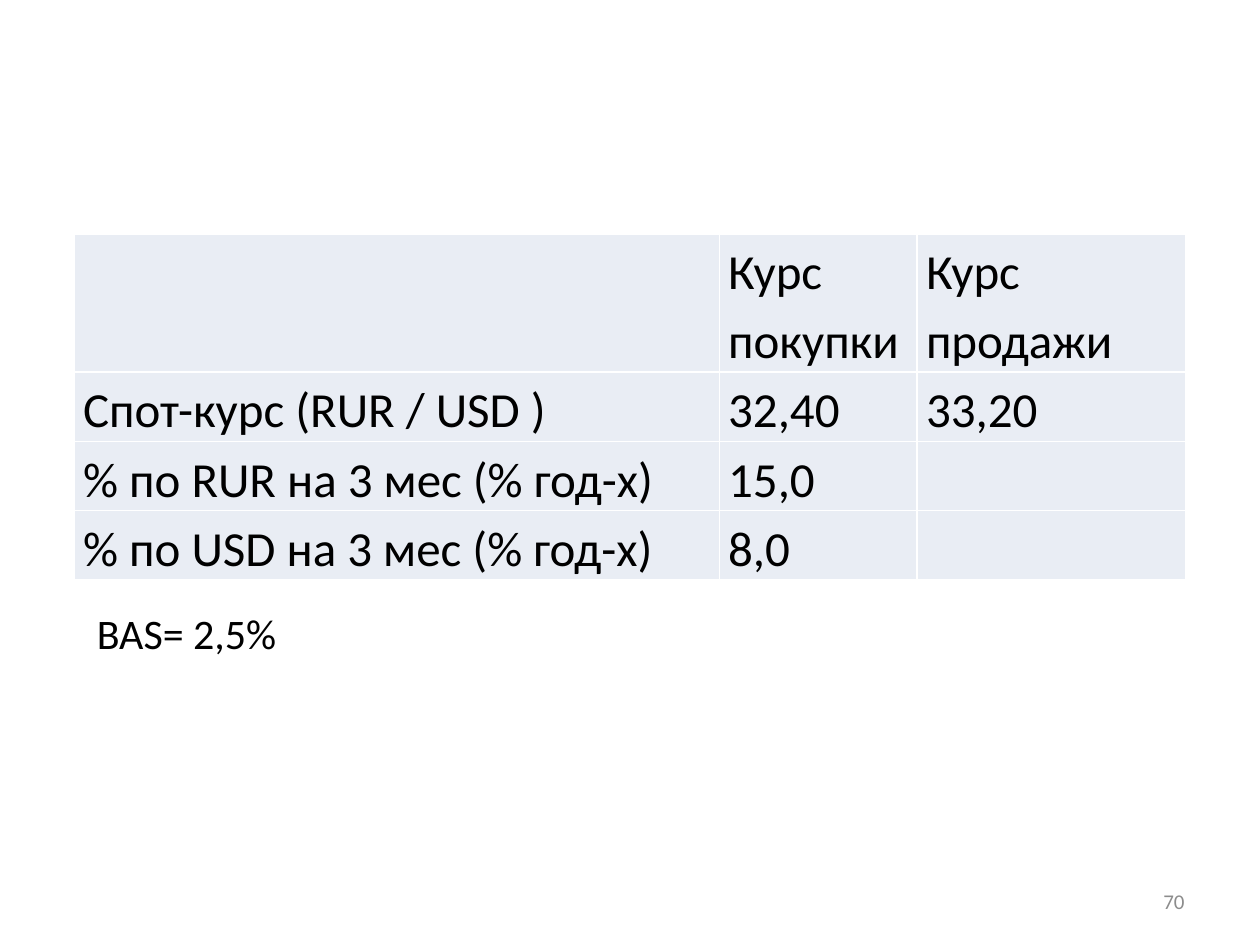
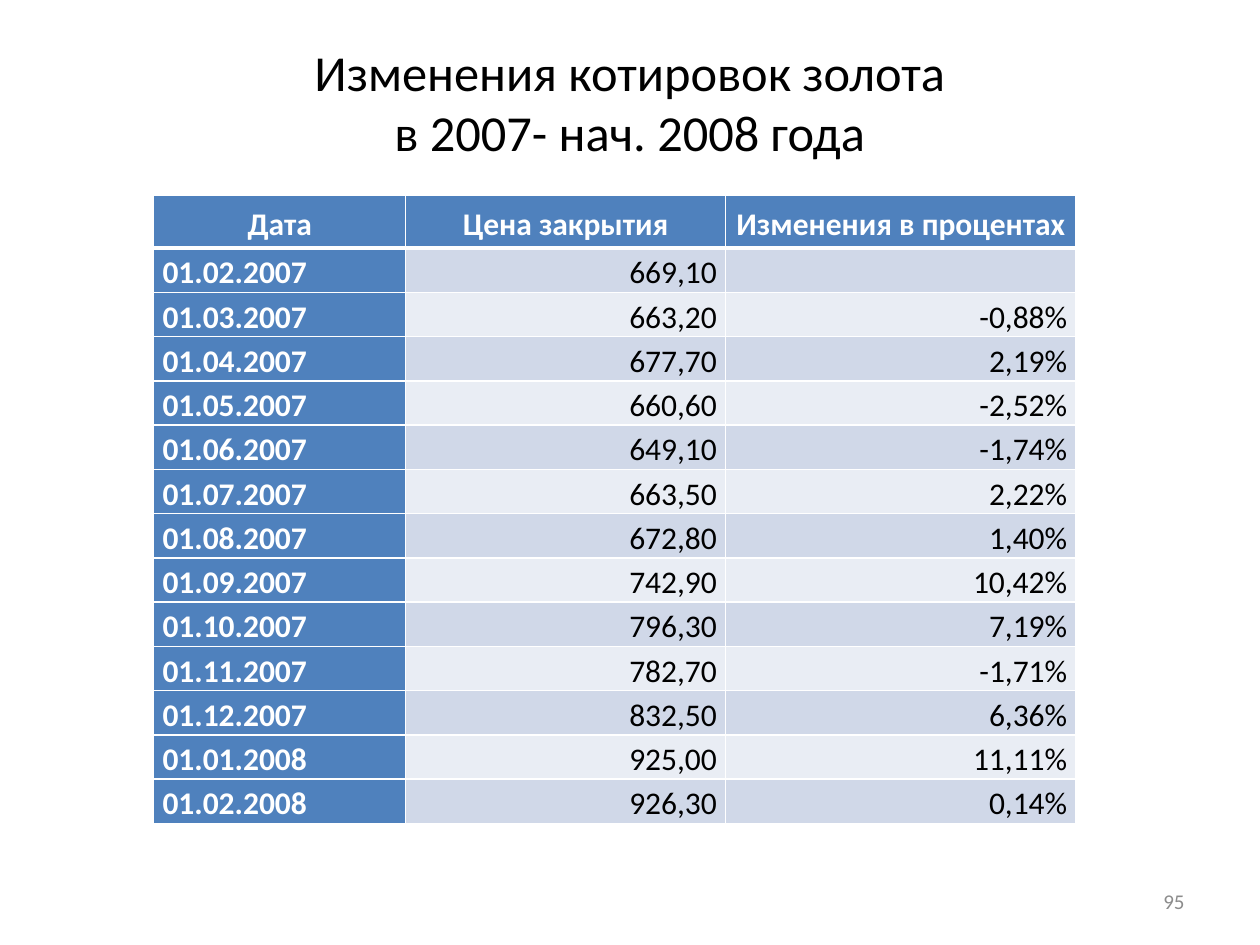
from lxml.etree import SubElement
from pptx import Presentation
from pptx.dml.color import RGBColor
from pptx.enum.text import MSO_ANCHOR, MSO_AUTO_SIZE, PP_ALIGN
from pptx.oxml.ns import qn
from pptx.util import Inches, Pt

# Content
RATES = [
    ("", "Курс покупки", "Курс продажи"),
    ("Спот-курс (RUR / USD )", "32,40", "33,20"),
    ("% по RUR на 3 мес (% год-х)", "15,0", ""),
    ("% по USD на 3 мес (% год-х)", "8,0", ""),
]
SPREAD = "BAS= 2,5%"
GOLD_TITLE = "Изменения котировок золота\vв 2007- нач. 2008 года"
GOLD = [
    ("Дата", "Цена закрытия", "Изменения в процентах"),
    ("01.02.2007", "669,10", ""),
    ("01.03.2007", "663,20", "-0,88%"),
    ("01.04.2007", "677,70", "2,19%"),
    ("01.05.2007", "660,60", "-2,52%"),
    ("01.06.2007", "649,10", "-1,74%"),
    ("01.07.2007", "663,50", "2,22%"),
    ("01.08.2007", "672,80", "1,40%"),
    ("01.09.2007", "742,90", "10,42%"),
    ("01.10.2007", "796,30", "7,19%"),
    ("01.11.2007", "782,70", "-1,71%"),
    ("01.12.2007", "832,50", "6,36%"),
    ("01.01.2008", "925,00", "11,11%"),
    ("01.02.2008", "926,30", "0,14%"),
]
PAGE_NUMBERS = {"rates": "70", "gold": "95"}

# Shared look
FONT = "Calibri"
COLORS = {"text": "000000", "white": "FFFFFF", "number": "8C8C8C",
          "accent": "4F81BD", "dark band": "D0D8E8", "light band": "E9EDF4"}
WIDTH, HEIGHT = 10, 7.5
MARGIN = 0.05 * WIDTH
LAYOUT_TITLE_ONLY, LAYOUT_BLANK = 5, 6


def write(frame, text, size=18, color="text", bold=False, align=PP_ALIGN.LEFT,
          anchor=MSO_ANCHOR.TOP, spacing=1.0):
    """Fill a text frame or a table cell with one formatted paragraph."""
    frame.vertical_anchor = anchor
    para = getattr(frame, "text_frame", frame).paragraphs[0]
    para.text = text
    para.alignment = align
    para.line_spacing = spacing
    for span in para.runs:
        span.font.name = FONT
        span.font.size = Pt(size)
        span.font.bold = bold
        span.font.color.rgb = RGBColor.from_string(COLORS[color])


def add_text(slide, text, left, top, width, height, wrap=True, **style):
    box = slide.shapes.add_textbox(*map(Inches, (left, top, width, height)))
    box.text_frame.word_wrap = wrap
    write(box.text_frame, text, **style)


def add_page_number(slide, text):
    width = 2.33
    add_text(slide, text, WIDTH - MARGIN - width, 6.95, width, 0.4, size=12,
             color="number", align=PP_ALIGN.RIGHT, anchor=MSO_ANCHOR.MIDDLE)


def set_borders(cell, **widths):
    """Draw white cell borders, 1 pt unless a side is given its own width."""
    properties = cell._tc.get_or_add_tcPr()
    for side in "LRTB":
        line = SubElement(properties, qn(f"a:ln{side}"),
                          w=str(Pt(widths.get(side, 1))))
        fill = SubElement(line, qn("a:solidFill"))
        SubElement(fill, qn("a:srgbClr"), val=COLORS["white"])


def add_table(slide, rows, left, top, columns, first_height, row_height, cell_format):
    """Add a table; cell_format(row, column) gives fill, borders and text style."""
    heights = [first_height] + [row_height] * (len(rows) - 1)
    frame = slide.shapes.add_table(len(rows), len(columns), Inches(left), Inches(top),
                                   Inches(sum(columns)), Inches(sum(heights)))
    table = frame.table
    table.first_row = table.horz_banding = False
    for column, width in zip(table.columns, columns):
        column.width = Inches(width)
    for r, (values, height) in enumerate(zip(rows, heights)):
        table.rows[r].height = Inches(height)
        for c, value in enumerate(values):
            cell = table.cell(r, c)
            fill, borders, style = cell_format(r, c)
            cell.margin_left = cell.margin_right = Inches(0.07)
            cell.margin_top = cell.margin_bottom = 0
            set_borders(cell, **borders)
            cell.fill.solid()
            cell.fill.fore_color.rgb = RGBColor.from_string(COLORS[fill])
            write(cell, value, spacing=1.15, **style)


def rates_format(row, column):
    align = PP_ALIGN.JUSTIFY if column else PP_ALIGN.LEFT
    return "light band", {}, {"size": 28, "align": align}


def gold_format(row, column):
    if row == 0:
        return "accent", {"B": 3}, {"color": "white", "bold": True,
                                    "align": PP_ALIGN.CENTER,
                                    "anchor": MSO_ANCHOR.MIDDLE}
    borders = {"T": 3} if row == 1 else {}
    if column == 0:
        return "accent", borders, {"color": "white", "bold": True,
                                   "anchor": MSO_ANCHOR.BOTTOM}
    band = "dark band" if row % 2 else "light band"
    return band, borders, {"align": PP_ALIGN.RIGHT, "anchor": MSO_ANCHOR.BOTTOM}


def add_rates_slide(deck):
    slide = deck.slides.add_slide(deck.slide_layouts[LAYOUT_BLANK])
    add_table(slide, RATES, 0.59, 1.86, (5.12, 1.57, 2.13), 1.09, 0.55, rates_format)
    add_text(slide, SPREAD, 0.67, 4.77, 1.64, 0.5, wrap=False, size=24)
    add_page_number(slide, PAGE_NUMBERS["rates"])


def add_gold_slide(deck):
    slide = deck.slides.add_slide(deck.slide_layouts[LAYOUT_TITLE_ONLY])
    title = slide.shapes.title
    title.left, title.top = Inches(MARGIN), Inches(0.04 * HEIGHT)
    title.width, title.height = Inches(WIDTH - 2 * MARGIN), Inches(1.01)
    title.text_frame.auto_size = MSO_AUTO_SIZE.NONE
    write(title.text_frame, GOLD_TITLE, size=28.8, align=PP_ALIGN.CENTER,
          anchor=MSO_ANCHOR.MIDDLE)
    add_table(slide, GOLD, 1.22, 1.55, (2, 2.54, 2.78), 0.42, 0.35, gold_format)
    add_page_number(slide, PAGE_NUMBERS["gold"])


def main():
    deck = Presentation()
    deck.slide_width, deck.slide_height = Inches(WIDTH), Inches(HEIGHT)
    add_rates_slide(deck)
    add_gold_slide(deck)
    deck.save("out.pptx")


if __name__ == "__main__":
    main()
